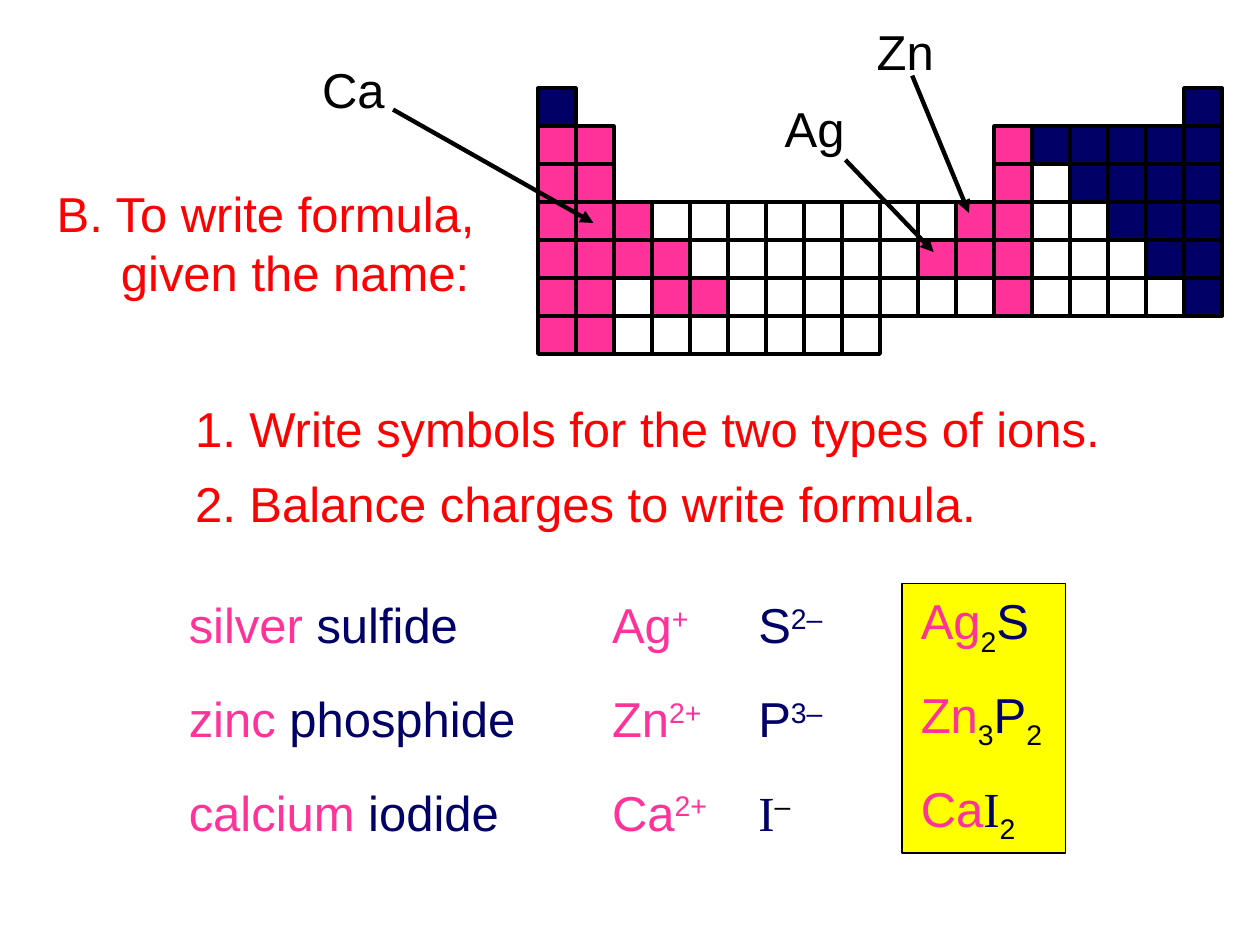
from collections import namedtuple
from dataclasses import dataclass
from lxml import etree
from pptx import Presentation
from pptx.dml.color import RGBColor
from pptx.enum.shapes import MSO_CONNECTOR, MSO_SHAPE
from pptx.enum.text import MSO_ANCHOR, PP_ALIGN
from pptx.oxml.ns import qn
from pptx.util import Inches, Pt

RECT = MSO_SHAPE.RECTANGLE
LINE = MSO_CONNECTOR.STRAIGHT
MIDDLE = MSO_ANCHOR.MIDDLE
LEFT, CENTER = PP_ALIGN.LEFT, PP_ALIGN.CENTER

WIDE, HIGH = Inches(10), Inches(7.5)
UNIT = WIDE / 100
Box = namedtuple("Box", "x y w h")


@dataclass(frozen=True)
class Theme:
    metal: RGBColor = RGBColor(0xFF, 0x33, 0x99)
    other: RGBColor = RGBColor(0x00, 0x00, 0x66)
    head: RGBColor = RGBColor(0xFF, 0x00, 0x00)
    ink: RGBColor = RGBColor(0x00, 0x00, 0x00)
    panel: RGBColor = RGBColor(0xFF, 0xFF, 0x00)
    font: str = "Arial"
    serif: str = "Times New Roman"
    size: Pt = Pt(28)
    pitch: Pt = Pt(34)
    edge: Pt = Pt(0.75)
    grid: Pt = Pt(2)
    arrow: Pt = Pt(2.5)


THEME = Theme()
TEXT_H = 5.7

PERIODS = [
    "N................N",
    "PP..........PNNNNN",
    "PP..........PWNNNN",
    "PPPWWWWWWWWPPWWNNN",
    "PPPPWWWWWWPPPWWWNN",
    "PPWPPWWWWWWWPWWWWN",
    "PPWWWWWWW",
]
FILLS = {"P": THEME.metal, "N": THEME.other, "W": None}

M, N, K = THEME.metal, THEME.other, THEME.ink
UP, DOWN = 30, -25
COMPOUNDS = [
    [
        [("silver ", M), ("sulfide", N)],
        [("Ag", M), ("+", M, UP)],
        [("S", N), ("2–", N, UP)],
        [("Ag", M), ("2", K, DOWN), ("S", N)],
    ],
    [
        [("zinc ", M), ("phosphide", N)],
        [("Zn", M), ("2+", M, UP)],
        [("P", N), ("3–", N, UP)],
        [("Zn", M), ("3", K, DOWN), ("P", N), ("2", K, DOWN)],
    ],
    [
        [("calcium ", M), ("iodide", N)],
        [("Ca", M), ("2+", M, UP)],
        [("I", N, 0, THEME.serif), ("–", K, UP)],
        [("Ca", M), ("I", N, 0, THEME.serif), ("2", K, DOWN)],
    ],
]


def place(box):
    return [round(v * UNIT) for v in box]


def style(para, color=None, align=LEFT):
    para.alignment = align
    para.font.size = THEME.size
    para.font.name = THEME.font
    if color is not None:
        para.font.color.rgb = color


def rect(shapes, box, fill, width):
    shape = shapes.add_shape(RECT, *place(box))
    shape.shadow.inherit = False
    if fill is None:
        shape.fill.background()
    else:
        shape.fill.solid()
        shape.fill.fore_color.rgb = fill
    shape.line.color.rgb = THEME.ink
    shape.line.width = width


def label(shapes, box, text, color, align=LEFT):
    frame = shapes.add_textbox(*place(box)).text_frame
    frame.word_wrap = True
    para = frame.paragraphs[0]
    para.text = text
    style(para, color, align)


def formula(shapes, box, parts):
    frame = shapes.add_textbox(*place(box)).text_frame
    frame.word_wrap = True
    frame.vertical_anchor = MIDDLE
    para = frame.paragraphs[0]
    style(para)
    for text, color, base, *face in [p if len(p) > 2 else (*p, 0) for p in parts]:
        run = para.add_run()
        run.text = text
        run.font.color.rgb = color
        if face:
            run.font.name = face[0]
        if base:
            run.font._element.set("baseline", str(base * 1000))


def heading(slide, box):
    title = slide.shapes.title
    title.left, title.top, title.width, title.height = place(box)
    frame = title.text_frame
    frame.text = "B. To write formula,\ngiven the name:"
    frame.word_wrap = False
    frame.vertical_anchor = MIDDLE
    for para in frame.paragraphs:
        style(para, THEME.head)
        para.line_spacing = THEME.pitch
    inset = str(round(5.1 * UNIT))
    frame.paragraphs[1]._p.get_or_add_pPr().set("marL", inset)


def periodic(slide, box):
    shapes = slide.shapes.add_group_shape().shapes
    w, h = box.w / len(PERIODS[0]), box.h / len(PERIODS)
    for row, line in enumerate(PERIODS):
        for col, kind in enumerate(line):
            if kind in FILLS:
                cell = Box(box.x + col * w, box.y + row * h, w, h)
                rect(shapes, cell, FILLS[kind], THEME.grid)


def pointer(slide, box, text, start, end):
    shapes = slide.shapes.add_group_shape().shapes
    ends = [box.x + start[0], box.y + start[1], box.x + end[0], box.y + end[1]]
    line = shapes.add_connector(LINE, *place(ends))
    line.line.color.rgb = THEME.ink
    line.line.width = THEME.arrow
    tip = etree.SubElement(line.line._get_or_add_ln(), qn("a:tailEnd"))
    tip.set("type", "triangle")
    etree.SubElement(line._element.spPr, qn("a:effectLst"))
    label(shapes, box, text, THEME.ink, CENTER)


def steps(slide, box):
    lines = [
        "1. Write symbols for the two types of ions.",
        "2. Balance charges to write formula.",
    ]
    for i, text in enumerate(lines):
        spot = Box(box.x, box.y + i * box.h / len(lines), box.w, TEXT_H)
        label(slide.shapes, spot, text, THEME.head)


def compounds(slide, box):
    cols = [(0, 32), (33.6, 11), (45.2, 9), (58.1, 13.5)]
    panel = Box(box.x + 57.6, box.y, 13, box.h)
    rect(slide.shapes, panel, THEME.panel, THEME.edge)
    for i, row in enumerate(COMPOUNDS):
        y = box.y + 0.4 + i * 7.45
        for (x, w), parts in zip(cols, row):
            formula(slide.shapes, Box(box.x + x, y, w, TEXT_H), parts)


def main():
    deck = Presentation()
    deck.slide_width, deck.slide_height = WIDE, HIGH
    slide = deck.slides.add_slide(deck.slide_layouts[5])
    heading(slide, Box(3.5, 14, 36.8, 10.4))
    periodic(slide, Box(42.7, 7, 54.3, 21.1))
    steps(slide, Box(14.5, 31.1, 76, 12))
    compounds(slide, Box(14, 46.3, 71.6, 21.4))
    pointer(slide, Box(24.3, 4.2, 7.5, TEXT_H), "Ca", (6.9, 4.5), (22.8, 13.5))
    pointer(slide, Box(60.9, 7.3, 7.5, TEXT_H), "Ag", (6.2, 5.4), (13.2, 12.7))
    pointer(slide, Box(68.1, 1.2, 7.5, TEXT_H), "Zn", (4.3, 4.8), (8.8, 15.7))
    deck.save("out.pptx")


if __name__ == "__main__":
    main()
